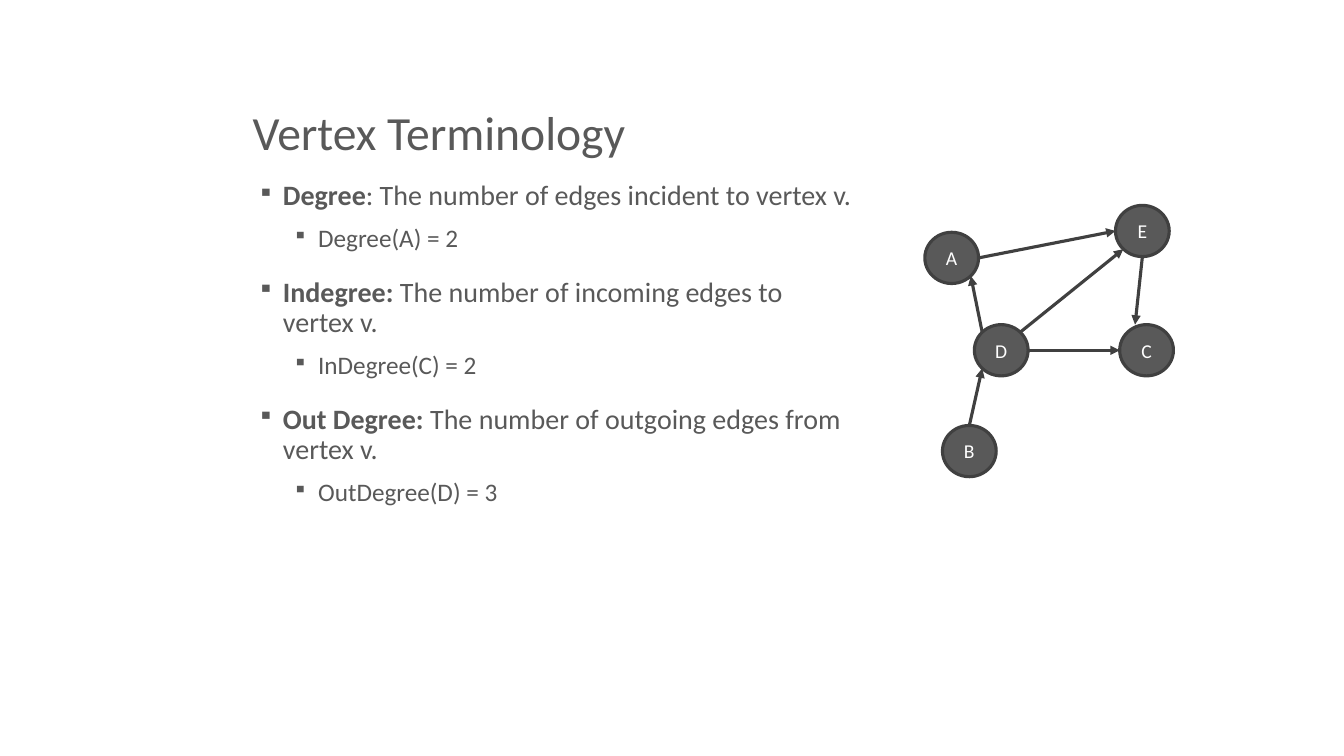
from lxml import etree
from pptx import Presentation, util as u
from pptx.dml.color import RGBColor
from pptx.enum import shapes, text
from pptx.oxml import ns

GRAY = RGBColor(0x59, 0x59, 0x59)
DARK = RGBColor(0x40, 0x40, 0x40)
WHITE = RGBColor(0xFF, 0xFF, 0xFF)

TERMS = [
    ("Degree", ": The number of edges incident to vertex v.", "Degree(A) = 2"),
    ("Indegree: ", "The number of incoming edges to vertex v.", "InDegree(C) = 2"),
    ("Out Degree: ", "The number of outgoing edges from vertex v.", "OutDegree(D) = 3"),
]
NODES = {"A": (11.33, 3.07), "C": (13.65, 4.17), "B": (11.54, 5.37),
         "D": (11.92, 4.17), "E": (13.6, 2.75)}
SIDES = {"N": (0, -1), "S": (0, 1), "W": (-1, 0), "E": (1, 0),
         "NW": (-0.71, -0.71), "NE": (0.71, -0.71),
         "SW": (-0.71, 0.71), "SE": (0.71, 0.71), "NNW": (-0.43, -1)}
EDGES = [("B", "N", "D", "SW"), ("D", "NW", "A", "SE"), ("A", "E", "E", "W"),
         ("D", "NE", "E", "SW"), ("E", "S", "C", "NNW"), ("D", "E", "C", "W")]


class Deck:
    """Draws styled elements on a slide grid of 16 columns by 9 rows."""

    face = "Calibri"
    wide, high = 0.64, 0.61
    stroke = u.Pt(2.25)

    def __init__(self):
        self.prs = Presentation()
        self.prs.slide_width = u.Inches(13.33)
        self.prs.slide_height = u.Inches(7.5)
        self.slide = self.prs.slides.add_slide(self.prs.slide_layouts[6])

    def col(self, n):
        return round(self.prs.slide_width * n / 16)

    def row(self, n):
        return round(self.prs.slide_height * n / 9)

    def area(self, x, y, w, h):
        return self.col(x), self.row(y), self.col(w), self.row(h)

    def font(self, para, size, color):
        para.font.name = self.face
        para.font.size = u.Pt(size)
        para.font.color.rgb = color

    def box(self, *area):
        frame = self.slide.shapes.add_textbox(*self.area(*area)).text_frame
        frame.word_wrap = True
        return frame

    def title(self, words, *area):
        frame = self.box(*area)
        frame.vertical_anchor = text.MSO_ANCHOR.BOTTOM
        para = frame.paragraphs[0]
        para.text = words
        para.line_spacing = 0.9
        self.font(para, 34, GRAY)

    def bullet(self, para, level):
        para.level = level
        para.line_spacing = 0.9
        para.space_before = u.Pt((18, 10)[level])
        props = para._p.get_or_add_pPr()
        props.set("marL", str(u.Inches((0.3, 0.65)[level])))
        props.set("indent", str(u.Inches(-0.25)))
        etree.SubElement(props, ns.qn("a:buSzPct"), val="80000")
        etree.SubElement(props, ns.qn("a:buChar"), char="▪")
        self.font(para, (20, 18)[level], GRAY)

    def terms(self, items, *area):
        frame = self.box(*area)
        para = frame.paragraphs[0]
        for i, (name, sense, case) in enumerate(items):
            if i:
                para = frame.add_paragraph()
            self.bullet(para, 0)
            for words, bold in ((name, True), (sense, False)):
                run = para.add_run()
                run.text = words
                run.font.bold = bold
            para = frame.add_paragraph()
            para.text = case
            self.bullet(para, 1)

    def node(self, name, x, y):
        area = self.area(x - self.wide / 2, y - self.high / 2, self.wide, self.high)
        disc = self.slide.shapes.add_shape(shapes.MSO_SHAPE.OVAL, *area)
        disc.shadow.inherit = False
        disc.fill.solid()
        disc.fill.fore_color.rgb = GRAY
        disc.line.color.rgb = DARK
        disc.line.width = self.stroke
        disc.text_frame.vertical_anchor = text.MSO_ANCHOR.MIDDLE
        para = disc.text_frame.paragraphs[0]
        para.text = name
        para.alignment = text.PP_ALIGN.CENTER
        self.font(para, 14, WHITE)

    def port(self, name, side):
        (x, y), (dx, dy) = NODES[name], SIDES[side]
        return self.col(x + dx * self.wide / 2), self.row(y + dy * self.high / 2)

    def edge(self, start, out, end, into):
        line = self.slide.shapes.add_connector(
            shapes.MSO_CONNECTOR.STRAIGHT, *self.port(start, out), *self.port(end, into))
        line.line.color.rgb = DARK
        line.line.width = self.stroke
        etree.SubElement(line.line._get_or_add_ln(), ns.qn("a:tailEnd"), type="triangle")
        etree.SubElement(line._element.spPr, ns.qn("a:effectLst"))


def main():
    deck = Deck()
    deck.title("Vertex Terminology", 2.89, 0.4, 12.3, 1.57)
    deck.terms(TERMS, 2.89, 2.1, 7.44, 5.4)
    for name, spot in NODES.items():
        deck.node(name, *spot)
    for edge in EDGES:
        deck.edge(*edge)
    deck.prs.save("out.pptx")


if __name__ == "__main__":
    main()
